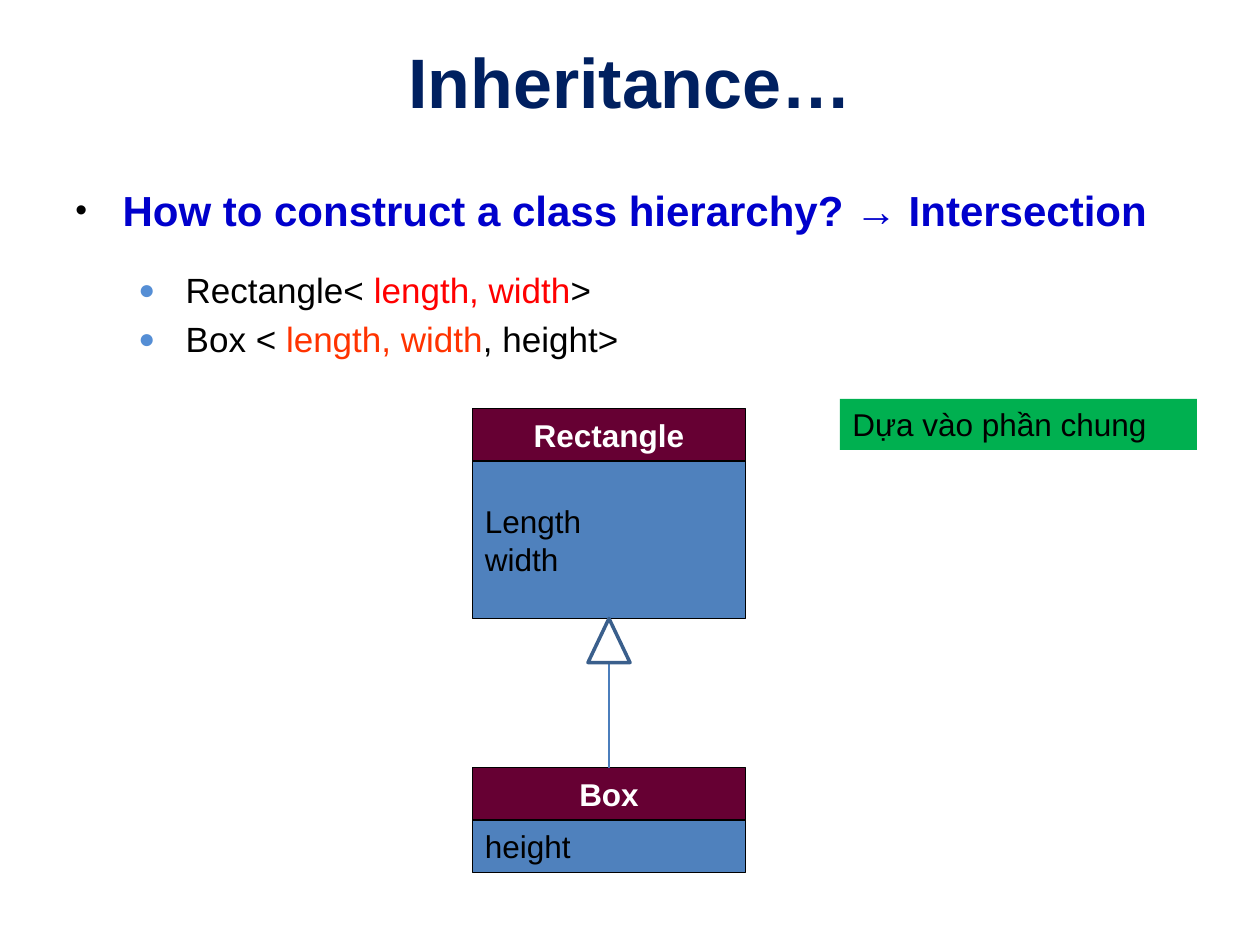
import pptx
import pptx.util
import pptx.dml.color
import pptx.enum.shapes
import pptx.enum.text
import lxml.etree

Pt = pptx.util.Pt
RGB = pptx.dml.color.RGBColor
KIND = pptx.enum.shapes.MSO_SHAPE
SIDE = pptx.enum.text.PP_ALIGN
MID = pptx.enum.text.MSO_ANCHOR.MIDDLE
TOP = pptx.enum.text.MSO_ANCHOR.TOP

BLACK = RGB(0, 0, 0)
WHITE = RGB(255, 255, 255)
NAVY = RGB(0x00, 0x20, 0x60)
BLUE = RGB(0x00, 0x00, 0xCC)
SKY = RGB(0x55, 0x8E, 0xD5)
RED = RGB(0xFF, 0x00, 0x00)
CORAL = RGB(0xFF, 0x33, 0x00)
WINE = RGB(0x66, 0x00, 0x33)
STEEL = RGB(0x4F, 0x81, 0xBD)
EDGE = RGB(0x4B, 0x7E, 0xBC)
HEAD = RGB(0x3A, 0x5F, 0x8C)
GREEN = RGB(0x00, 0xB0, 0x50)

deck = pptx.Presentation()
deck.slide_width = pptx.util.Inches(10)
deck.slide_height = pptx.util.Inches(7.5)
slide = deck.slides.add_slide(deck.slide_layouts[6])
shapes = slide.shapes
cell = deck.slide_width / 24  # square grid: 24 columns, 18 rows


def grid(*nums):
    return [round(n * cell) for n in nums]


def write(para, runs, size, bold=False, side=SIDE.LEFT, dot=None, tint=None):
    """Add (text, colour) runs, with an optional bullet dot in a tint."""
    para.alignment = side
    for text, color in runs:
        for i, line in enumerate(text.split("\n")):
            if i:
                para.add_line_break()
            run = para.add_run()
            run.text = line
            run.font.name = "Arial"
            run.font.size = Pt(size)
            run.font.bold = bold
            run.font.color.rgb = color
    if dot:
        para.space_before = Pt(size * 0.2)
        props = para._p.get_or_add_pPr()
        props.set("marL", str(Pt(27)))
        props.set("indent", str(-Pt(27)))
        space = props.nsmap["a"]
        color = lxml.etree.SubElement(props, f"{{{space}}}buClr")
        lxml.etree.SubElement(color, f"{{{space}}}srgbClr", val=str(tint))
        lxml.etree.SubElement(props, f"{{{space}}}buSzPct", val="80000")
        lxml.etree.SubElement(props, f"{{{space}}}buFont", typeface="Arial")
        lxml.etree.SubElement(props, f"{{{space}}}buChar", char=dot)


# Title, question and class lists
title = shapes.add_textbox(*grid(1.2, 0.6, 21.6, 1.87)).text_frame
title.word_wrap = True
title.vertical_anchor = MID
write(title.paragraphs[0], [("Inheritance…", NAVY)], 40, True, SIDE.CENTER)

topic = shapes.add_textbox(*grid(1.2, 3.4, 21.6, 1.4)).text_frame
topic.word_wrap = True
ask = "How to construct a class hierarchy? → Intersection"
write(topic.paragraphs[0], [(ask, BLUE)], 24, True, SIDE.JUSTIFY, "•", BLACK)

items = shapes.add_textbox(*grid(2.4, 5, 10.3, 3.2)).text_frame
items.word_wrap = True
write(items.paragraphs[0],
      [("Rectangle< ", BLACK), ("length, width", RED), (">", BLACK)],
      20, dot="●", tint=SKY)
write(items.add_paragraph(),
      [("Box <", BLACK), (" length, width", CORAL), (", height>", BLACK)],
      20, dot="●", tint=SKY)

# Class boxes: a one-row name above its fields; then the green note
left, wide = 9, 5.2
base, child = 7.78, 14.62
foot = base + 4
boxes = []
for name, fields, top, rows in (("Rectangle", "Length\nwidth", base, 3),
                                ("Box", "height", child, 1)):
    boxes += [(name, left, top, wide, 1, WINE, WHITE, True),
              (fields, left, top + 1, wide, rows, STEEL, BLACK, False)]
boxes.append(("Dựa vào phần chung", 16, 7.6, 6.8, 0.97, GREEN, BLACK, False))

for text, x, y, w, h, fill, ink, bold in boxes:
    box = shapes.add_shape(KIND.RECTANGLE, *grid(x, y, w, h))
    box.shadow.inherit = False
    box.fill.solid()
    box.fill.fore_color.rgb = fill
    if fill == GREEN:
        box.line.fill.background()
    else:
        box.line.color.rgb = BLACK
        box.line.width = Pt(0.75)
    box.text_frame.word_wrap = True
    box.text_frame.vertical_anchor = TOP if fill == GREEN else MID
    write(box.text_frame.paragraphs[0], [(text, ink)], 18, bold,
          SIDE.CENTER if bold else SIDE.LEFT)

# Inheritance arrow from Box up to Rectangle
mid, tip, tall = left + wide / 2, 0.8, 0.84
stem = shapes.add_connector(pptx.enum.shapes.MSO_CONNECTOR.STRAIGHT,
                            *grid(mid, foot + tall, mid, child))
stem.line.color.rgb = EDGE
stem.line.width = Pt(0.75)
props = stem._element.spPr
lxml.etree.SubElement(props, f"{{{props.nsmap['a']}}}effectLst")

head = shapes.add_shape(KIND.ISOSCELES_TRIANGLE,
                        *grid(mid - tip / 2, foot, tip, tall))
head.shadow.inherit = False
head.fill.background()
head.line.color.rgb = HEAD
head.line.width = Pt(2)

deck.save("out.pptx")
